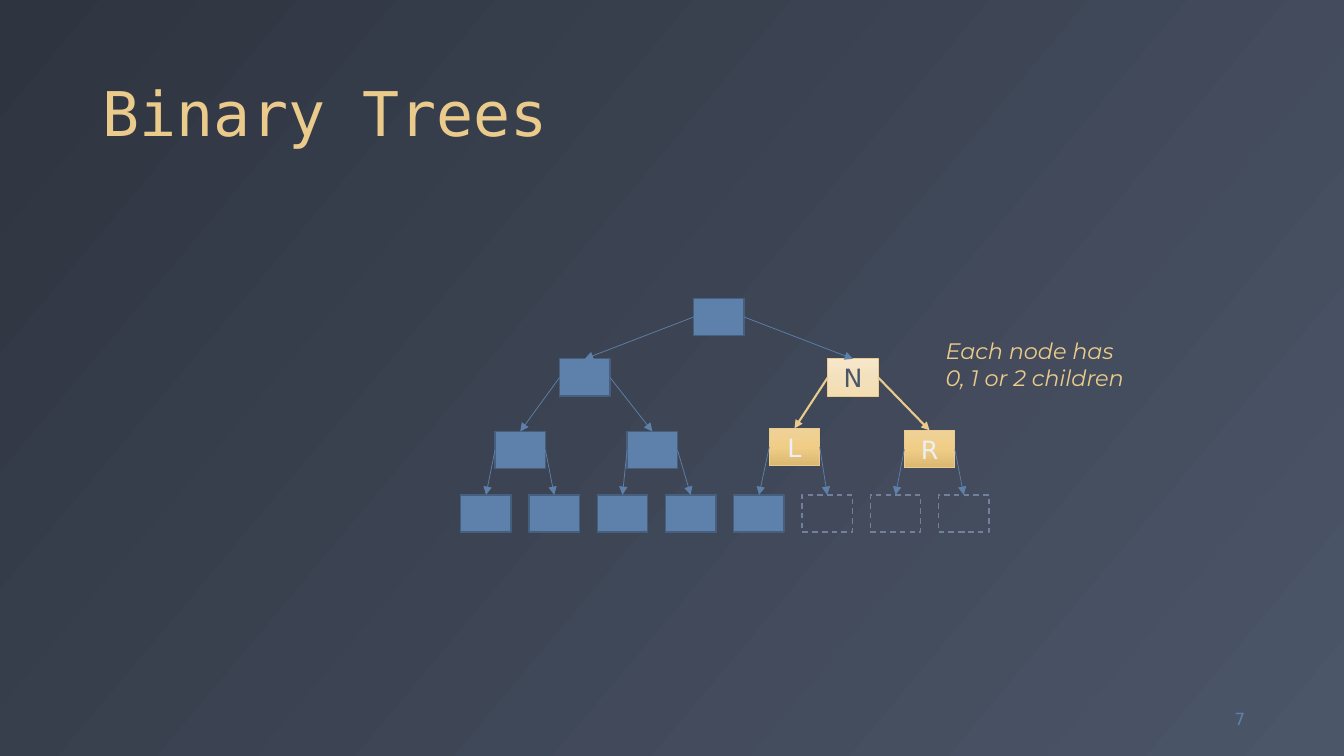
from lxml.etree import SubElement
from pptx import Presentation
from pptx.dml.color import RGBColor
from pptx.enum.dml import MSO_LINE
from pptx.enum.shapes import MSO_CONNECTOR, MSO_SHAPE
from pptx.enum.text import MSO_ANCHOR as Anchor, PP_ALIGN as Align
from pptx.oxml.ns import qn
from pptx.util import Inches, Pt

# Colours
BLUE = RGBColor(0x5E, 0x81, 0xAC)
BLUE_EDGE = RGBColor(0x46, 0x5F, 0x7F)
GHOST_EDGE = RGBColor(0x73, 0x80, 0x9B)
GOLD = RGBColor(0xEB, 0xCB, 0x8B)
PALE = RGBColor(0xEC, 0xEF, 0xF3)
SLATE = RGBColor(0x4C, 0x56, 0x69)
NIGHT = RGBColor(0x2E, 0x34, 0x40)
GOLD_STOPS = [RGBColor(0xEF, 0xD2, 0x9A), RGBColor(0xF0, 0xCD, 0x86), RGBColor(0xDB, 0xB8, 0x71)]
CREAM_STOPS = [RGBColor(0xF7, 0xE7, 0xCB), RGBColor(0xF3, 0xE0, 0xBC), RGBColor(0xF4, 0xDD, 0xB1)]

# Content
TITLE = "Binary Trees"
NOTE = ["Each node has", "0, 1 or 2 children"]
PAGE = "7"
NODE_SIZE = (0.5, 0.37)
LEAF_LEFT, LEAF_STEP, LEAF_TOP = 4.57, 0.677, 4.91
# Node corners level by level: the children of node i are 2i + 1 and 2i + 2
CORNERS = [(6.88, 2.96),
           (5.55, 3.56), (8.21, 3.56),
           (4.91, 4.28), (6.22, 4.28), (7.63, 4.25), (8.97, 4.27)]
CORNERS += [(LEAF_LEFT + LEAF_STEP * i, LEAF_TOP) for i in range(8)]
# Node index: letter, letter colour, gradient
LETTERED = {2: ("N", SLATE, CREAM_STOPS), 5: ("L", PALE, GOLD_STOPS), 6: ("R", PALE, GOLD_STOPS)}
GHOSTS = {12, 13, 14}
HIGHLIGHTED_PARENT = 2
LEFT_SIDE, RIGHT_SIDE, TOP_SIDE = 1, 3, 0


def write_text(shape, lines, size=18, font="DejaVu Sans", color=GOLD, italic=False,
               align=Align.LEFT, anchor=Anchor.TOP, wrap=True, spacing=None):
    frame = shape.text_frame
    frame.word_wrap = wrap
    frame.vertical_anchor = anchor
    for number, line in enumerate(lines):
        paragraph = frame.add_paragraph() if number else frame.paragraphs[0]
        paragraph.alignment = align
        paragraph.line_spacing = spacing
        run = paragraph.add_run()
        run.text = line
        run.font.size = Pt(size)
        run.font.name = font
        run.font.italic = italic
        run.font.color.rgb = color


def add_text(slide, box, lines, **style):
    write_text(slide.shapes.add_textbox(*map(Inches, box)), lines, **style)


def set_gradient(fill, element, colors, angle):
    fill.gradient()
    fill.gradient_angle = 360 - angle
    stops = element.find(".//" + qn("a:gsLst"))
    for stop in list(stops):
        stops.remove(stop)
    for number, color in enumerate(colors):
        position = 100000 * number // (len(colors) - 1)
        stop = SubElement(stops, qn("a:gs"), pos=str(position))
        SubElement(stop, qn("a:srgbClr"), val=str(color))


def add_node(slide, index):
    box = CORNERS[index] + NODE_SIZE
    node = slide.shapes.add_shape(MSO_SHAPE.RECTANGLE, *map(Inches, box))
    node.shadow.inherit = False
    edge, width = BLUE_EDGE, 1
    if index in LETTERED:
        letter, color, stops = LETTERED[index]
        edge, width = GOLD, 0.5
        set_gradient(node.fill, node._element, stops, 90)
        write_text(node, [letter], color=color, align=Align.CENTER, anchor=Anchor.MIDDLE)
    elif index in GHOSTS:
        edge = GHOST_EDGE
        node.fill.background()
        node.line.dash_style = MSO_LINE.DASH
    else:
        node.fill.solid()
        node.fill.fore_color.rgb = BLUE
    node.line.color.rgb = edge
    node.line.width = Pt(width)
    return node


def add_arrow(slide, parent, side, child, color, width):
    arrow = slide.shapes.add_connector(MSO_CONNECTOR.STRAIGHT, 0, 0, 0, 0)
    arrow.begin_connect(parent, side)
    arrow.end_connect(child, TOP_SIDE)
    arrow.line.color.rgb = color
    arrow.line.width = Pt(width)
    SubElement(arrow.line._get_or_add_ln(), qn("a:tailEnd"), type="triangle")
    SubElement(arrow._element.spPr, qn("a:effectLst"))


def main():
    presentation = Presentation()
    presentation.slide_width = Inches(13.33)
    presentation.slide_height = Inches(7.5)
    slide = presentation.slides.add_slide(presentation.slide_layouts[6])
    set_gradient(slide.background.fill, slide._element, [NIGHT, SLATE], 40)

    # Title and page number
    add_text(slide, (0.92, 0.18, 11.5, 1.36), [TITLE], size=44, font="DejaVu Sans Mono",
             anchor=Anchor.BOTTOM, spacing=0.9)
    add_text(slide, (11.62, 6.93, 0.83, 0.4), [PAGE], size=12, color=BLUE,
             align=Align.RIGHT, anchor=Anchor.MIDDLE)

    # Tree
    nodes = [add_node(slide, index) for index in range(len(CORNERS))]
    for index in range(len(nodes) // 2):
        color, width = (GOLD, 1.5) if index == HIGHLIGHTED_PARENT else (BLUE, 0.5)
        for offset, side in ((1, LEFT_SIDE), (2, RIGHT_SIDE)):
            add_arrow(slide, nodes[index], side, nodes[2 * index + offset], color, width)

    # Note beside the highlighted parent
    add_text(slide, (9.28, 3.3, 2.06, 0.64), NOTE, size=16, font="Montserrat",
             italic=True, wrap=False)
    presentation.save("out.pptx")


if __name__ == "__main__":
    main()
